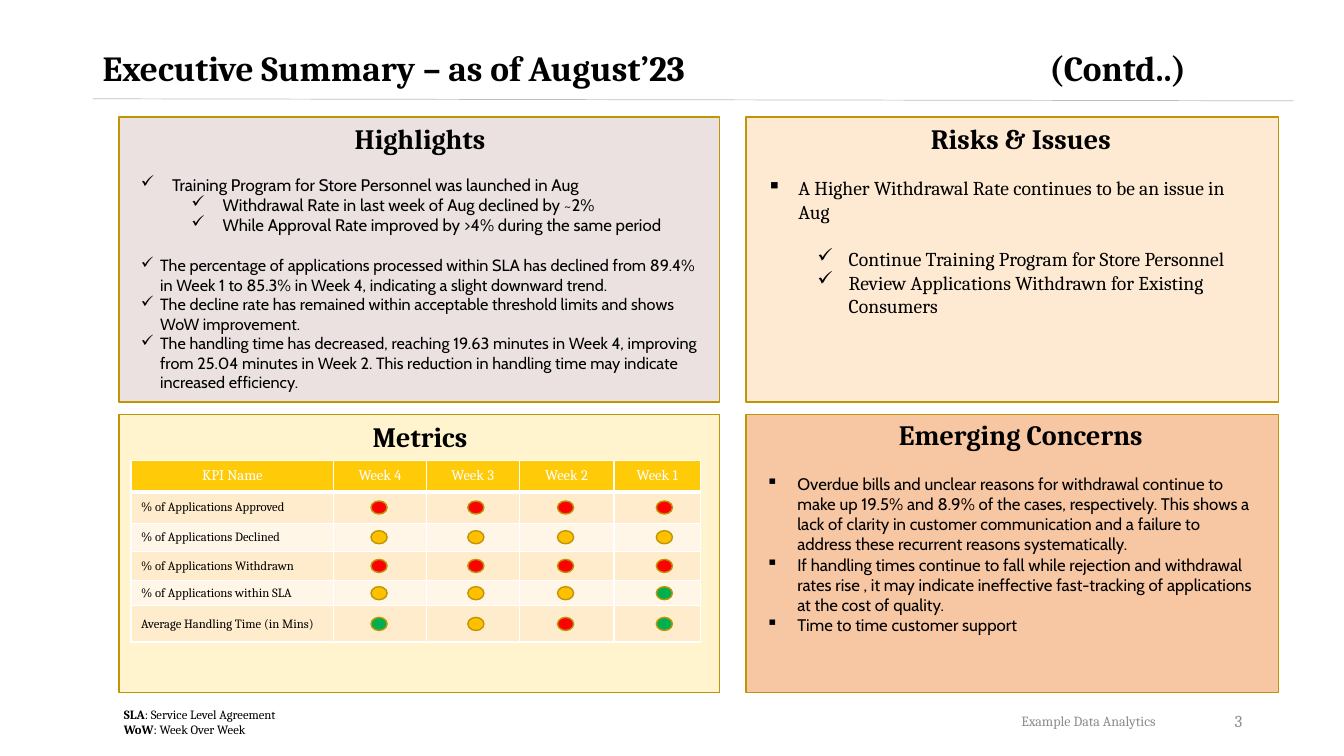
from lxml.etree import SubElement
from pptx import Presentation
from pptx.dml.color import RGBColor
from pptx.enum.shapes import MSO_CONNECTOR as Conn, MSO_SHAPE as Geom
from pptx.enum.text import MSO_ANCHOR as Anchor, PP_ALIGN as Align
from pptx.oxml import parse_xml
from pptx.oxml.ns import nsdecls, qn
from pptx.util import Inches, Pt

# Colours
BLACK = RGBColor(0x00, 0x00, 0x00)
WHITE = RGBColor(0xFF, 0xFF, 0xFF)
GREY = RGBColor(0x8C, 0x8C, 0x8C)
RULE = RGBColor(0xBF, 0xBF, 0xBF)
EDGE = RGBColor(0xBD, 0x95, 0x06)
HEAD = RGBColor(0xFF, 0xCA, 0x08)
BANDS = [RGBColor(0xFF, 0xF6, 0xE7), RGBColor(0xFF, 0xEC, 0xCC)]
LIGHTS = {
    "R": RGBColor(0xFF, 0x00, 0x00),
    "A": RGBColor(0xFF, 0xC0, 0x00),
    "G": RGBColor(0x00, 0xB0, 0x50),
}

# Content
TITLE = "Executive Summary – as of August’23\t(Contd..)"
FOOTER = "Example Data Analytics"
PAGE = "3"

# Panels: heading, heading left and top, panel box, fill
PANELS = [
    ("Highlights", 2.27, 1.16, (1.18, 1.16, 5.96, 2.83), RGBColor(0xEB, 0xE1, 0xE1)),
    ("Risks & Issues", 8.23, 1.16, (7.4, 1.16, 5.28, 2.83), RGBColor(0xFE, 0xE9, 0xD2)),
    ("Metrics", 2.27, 4.11, (1.18, 4.11, 5.96, 2.76), RGBColor(0xFF, 0xF4, 0xCE)),
    ("Emerging Concerns", 8.23, 4.09, (7.4, 4.11, 5.28, 2.76), RGBColor(0xF7, 0xC6, 0xA2)),
]

# Bullets: mark, level, hanging indent, size, space before, text
HIGHLIGHTS = [
    ("✓", 0, 0.31, 12, 0, "Training Program for Store Personnel was launched in Aug"),
    ("✓", 1, 0.31, 12, 0, "Withdrawal Rate in last week of Aug declined by ~2%"),
    ("✓", 1, 0.31, 12, 0, "While Approval Rate improved by >4% during the same period"),
    ("✓", 0, 0.19, 11.6, 14.8, "The percentage of applications processed within SLA has declined "
     "from 89.4% in Week 1 to 85.3% in Week 4, indicating a slight downward trend."),
    ("✓", 0, 0.19, 11.6, 0, "The decline rate has remained within acceptable threshold limits "
     "and shows WoW improvement."),
    ("✓", 0, 0.19, 11.6, 0, "The handling time has decreased, reaching 19.63 minutes in Week 4, "
     "improving from 25.04 minutes in Week 2. This reduction in handling time may indicate "
     "increased efficiency."),
]
CONCERNS = [
    ("▪", 0, 0.31, 12, 0, "Overdue bills and unclear reasons for withdrawal continue to make up "
     "19.5% and 8.9% of the cases, respectively. This shows a lack of clarity in customer "
     "communication and a failure to address these recurrent reasons systematically."),
    ("▪", 0, 0.31, 12, 0, "If handling times continue to fall while rejection and withdrawal "
     "rates rise , it may indicate ineffective fast-tracking of applications at the cost of "
     "quality."),
    ("▪", 0, 0.31, 12, 0, "Time to time customer support"),
]
RISKS = [
    ("▪", 0, 0.31, 14, 0, "A Higher Withdrawal Rate continues to be an issue in Aug"),
    ("✓", 1, 0.31, 14, 16.8, "Continue Training Program for Store Personnel"),
    ("✓", 1, 0.31, 14, 0, "Review Applications Withdrawn for Existing Consumers"),
]
LISTS = [
    (HIGHLIGHTS, (1.3, 1.68, 5.74, 2.48), "Cabin"),
    (CONCERNS, (7.5, 4.65, 5.07, 2.15), "Cabin"),
    (RISKS, (7.51, 1.7, 5.07, 1.51), "Cambria"),
]

HEADER = ["KPI Name", "Week 4", "Week 3", "Week 2", "Week 1"]
KPIS = [  # name, status per week
    ("% of Applications Approved", "RRRR"),
    ("% of Applications Declined", "AAAA"),
    ("% of Applications Withdrawn", "RRRR"),
    ("% of Applications within SLA", "AAAG"),
    ("Average Handling Time (in Mins)", "GARG"),
]
GRID = (1.3, 4.57, 5.64, 1.8)
COLS = [2.01, 0.92, 0.92, 0.94, 0.86]
ROWS = [0.31, 0.31, 0.28, 0.29, 0.25, 0.36]
DOT_X = [3.68, 4.64, 5.53, 6.51]
DOT_W, DOT_H = 0.16, 0.13
TERMS = [("SLA", ": Service Level Agreement"), ("WoW", ": Week Over Week")]

deck = Presentation()
deck.slide_width, deck.slide_height = Inches(13.33), Inches(7.5)
slide = deck.slides.add_slide(deck.slide_layouts[6])
shapes = slide.shapes


def style(par, size, color=BLACK, face="Cambria", bold=False, align=Align.LEFT):
    par.alignment = align
    font = par.font
    font.size, font.name, font.bold = Pt(size), face, bold
    font.color.rgb = color


def frame(box, anchor=Anchor.TOP):
    text = shapes.add_textbox(*map(Inches, box)).text_frame
    text.word_wrap = True
    text.vertical_anchor = anchor
    return text


def label(box, words, size, anchor=Anchor.TOP, **look):
    par = frame(box, anchor).paragraphs[0]
    par.text = words
    style(par, size, **look)
    return par


def solid(geom, box, fill):
    shape = shapes.add_shape(geom, *map(Inches, box))
    shape.shadow.inherit = False
    shape.fill.solid()
    shape.fill.fore_color.rgb = fill
    shape.line.color.rgb = EDGE
    shape.line.width = Pt(1)


def bullets(items, box, face):
    text = frame(box)
    for i, (mark, level, hang, size, gap, words) in enumerate(items):
        par = text.add_paragraph() if i else text.paragraphs[0]
        par.text = words
        par.level = level
        props = par._p.get_or_add_pPr()
        props.set("marL", str(Inches(hang + 0.5 * level)))
        props.set("indent", str(-Inches(hang)))
        SubElement(props, qn("a:buChar")).set("char", mark)
        par.space_before = Pt(gap)
        style(par, size, face=face)


def border(cell, bottom):
    props = cell._tc.get_or_add_tcPr()
    for i, side in enumerate("LRTB"):
        width = Pt(bottom if side == "B" else 1)
        props.insert(i, parse_xml(
            f'<a:ln{side} {nsdecls("a")} w="{width}"><a:solidFill>'
            f'<a:srgbClr val="{WHITE}"/></a:solidFill></a:ln{side}>'))


# Title, footer and rule
title = label((0.92, 0.4, 11.5, 0.6), TITLE, 25.2, Anchor.MIDDLE, bold=True)
title.line_spacing = 0.9
tabs = parse_xml(f'<a:tabLst {nsdecls("a")}><a:tab pos="{Inches(9.39)}" algn="l"/></a:tabLst>')
title._p.pPr.find(qn("a:defRPr")).addprevious(tabs)
label((7.06, 6.95, 4.5, 0.4), FOOTER, 10, Anchor.MIDDLE, color=GREY, align=Align.RIGHT)
label((9.42, 6.95, 3, 0.4), PAGE, 12, Anchor.MIDDLE, color=GREY, align=Align.RIGHT)
rule = shapes.add_connector(Conn.STRAIGHT, *map(Inches, (0.92, 0.98, 12.83, 1)))
rule.line.color.rgb = RULE
rule.line.width = Pt(0.5)
SubElement(rule._element.spPr, qn("a:effectLst"))

# Panels with headings and bullet lists
for name, left, top, box, fill in PANELS:
    solid(Geom.RECTANGLE, box, fill)
    label((left, top, 3.79, 0.44), name, 20, bold=True, align=Align.CENTER)
for items, box, face in LISTS:
    bullets(items, box, face)

# Metrics table
table = shapes.add_table(len(ROWS), len(COLS), *map(Inches, GRID)).table
for col, width in zip(table.columns, COLS):
    col.width = Inches(width)
for row, height in zip(table.rows, ROWS):
    row.height = Inches(height)
cells = [HEADER] + [[name, "", "", "", ""] for name, _ in KPIS]
for r, line in enumerate(cells):
    for c, words in enumerate(line):
        cell = table.cell(r, c)
        cell.vertical_anchor = Anchor.MIDDLE
        cell.margin_top = cell.margin_bottom = Inches(0.03)
        cell.fill.solid()
        cell.fill.fore_color.rgb = BANDS[r % 2] if r else HEAD
        border(cell, 1 if r else 3)
        par = cell.text_frame.paragraphs[0]
        if words:
            par.text = words
        else:
            par._p.get_or_add_endParaRPr().set("sz", "900")
        if r:
            style(par, 9)
        else:
            style(par, 10.5, color=WHITE, align=Align.CENTER)

# Status dots, centred in each row
for r, (_, marks) in enumerate(KPIS, 1):
    top = GRID[1] + sum(ROWS[:r]) + (ROWS[r] - DOT_H) / 2
    for left, mark in zip(DOT_X, marks):
        solid(Geom.OVAL, (left, top, DOT_W, DOT_H), LIGHTS[mark])

# Abbreviations
text = frame((1.13, 6.96, 3.83, 0.4))
for i, (term, sense) in enumerate(TERMS):
    par = text.add_paragraph() if i else text.paragraphs[0]
    style(par, 9)
    for words, bold in ((term, True), (sense, False)):
        run = par.add_run()
        run.text = words
        run.font.bold = bold

deck.save("out.pptx")
